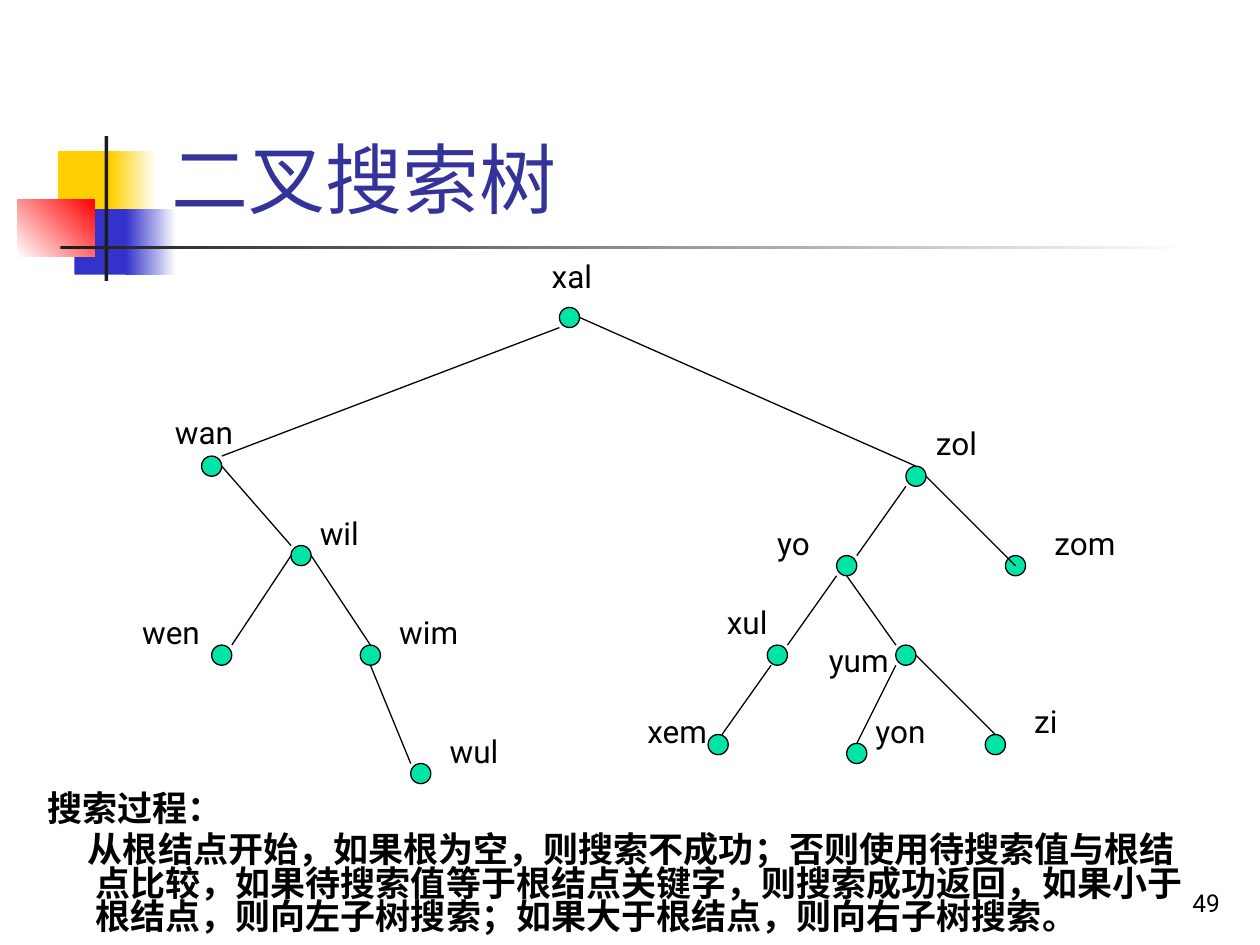
from lxml.etree import SubElement
from pptx import Presentation
from pptx.dml.color import RGBColor
from pptx.enum.shapes import MSO_CONNECTOR, MSO_SHAPE
from pptx.enum.text import MSO_ANCHOR, PP_ALIGN
from pptx.oxml.ns import qn
from pptx.util import Pt

PX = 9144  # EMU per px, 100 px to the inch
FONT = "Roboto"
COLORS = {"yellow": "FFCF01", "blue": "3333CC", "red": "FF0000", "dark": "1C1C1C",
          "white": "FFFFFF", "title": "333399", "node": "00E4A8", "black": "000000"}
RADIUS = 8

# name: (centre x, centre y), (label left, top, width), relative to the tree box
NODES = {
    "xal": ((349, 53), (325, 0, 62)),
    "wan": ((65, 171), (26, 124, 87)),
    "wil": ((136, 242), (141, 204, 60)),
    "wen": ((73, 321), (0, 283, 81)),
    "wim": ((191, 321), (204, 283, 81)),
    "wul": ((231, 415), (244, 377, 71)),
    "zol": ((624, 179), (630, 133, 61)),
    "yo": ((569, 250), (504, 212, 55)),
    "zom": ((703, 250), (724, 212, 81)),
    "xul": ((514, 321), (464, 275, 63)),
    "yum": ((616, 321), (545, 305, 70)),
    "xem": ((467, 392), (401, 361, 82)),
    "yon": ((577, 399), (582, 361, 73)),
    "zi": ((687, 392), (708, 353, 43)),
}
# parent, its side, child, its side
EDGES = [
    ("xal", "SW", "wan", "NE"), ("xal", "E", "zol", "N"),
    ("wan", "E", "wil", "NW"), ("wil", "W", "wen", "NE"),
    ("wil", "E", "wim", "N"), ("wim", "S", "wul", "NW"),
    ("zol", "SW", "yo", "NE"), ("zol", "E", "zom", "C"),
    ("yo", "SW", "xul", "NE"), ("yo", "S", "yum", "NW"),
    ("xul", "SSW", "xem", "NNE"), ("yum", "SW", "yon", "N"),
    ("yum", "E", "zi", "N"),
]
SIDES = {"C": (0, 0), "N": (0, -RADIUS), "S": (0, RADIUS), "E": (RADIUS, 0),
         "W": (-RADIUS, 0), "NE": (RADIUS, -RADIUS), "NW": (-RADIUS, -RADIUS),
         "SW": (-RADIUS, RADIUS), "SSW": (-5, RADIUS), "NNE": (3, -RADIUS)}


def px(*lengths):
    return [n * PX for n in lengths]


def rgb(name):
    return RGBColor.from_string(COLORS[name])


def style(p, size, color="black", bold=False):
    p.font.name, p.font.size, p.font.bold = FONT, Pt(size), bold
    p.font.color.rgb = rgb(color)


def add_shape(s, kind, box, fill):
    sp = s.shapes.add_shape(kind, *px(*box))
    sp.shadow.inherit = False
    sp.line.fill.background()
    if isinstance(fill, str):
        sp.fill.solid()
        sp.fill.fore_color.rgb = rgb(fill)
    else:
        first, last, angle = fill
        sp.fill.gradient()
        sp.fill.gradient_angle = angle
        for stop, color in zip(sp.fill.gradient_stops, (first, last)):
            stop.color.rgb = rgb(color)
    return sp


def add_text(s, box, texts, size, bold=False):
    tf = s.shapes.add_textbox(*px(*box)).text_frame
    tf.word_wrap = True
    tf.text = "\n".join(texts)
    for p in tf.paragraphs:
        style(p, size, bold=bold)
    return tf


def add_ornament(s, x, y):
    """Coloured squares and crossing bars beside the title."""
    for left, top, w, h, fill in [
        (32, 12, 48, 52, "yellow"),
        (74, 12, 36, 52, ("yellow", "white", 0)),
        (45, 58, 46, 52, "blue"),
        (86, 58, 40, 52, ("blue", "white", 0)),
        (0, 50, 61, 46, ("white", "red", 45)),
        (69, 0, 3, 115, "dark"),
        (34, 87, 900, 3, ("dark", "white", 0)),
    ]:
        add_shape(s, MSO_SHAPE.RECTANGLE, (x + left, y + top, w, h), fill)


def add_title(s, box, text):
    sp = s.shapes.title
    sp.left, sp.top, sp.width, sp.height = px(*box)
    tf = sp.text_frame
    tf.text = text
    tf.vertical_anchor = MSO_ANCHOR.BOTTOM
    p = tf.paragraphs[0]
    p.alignment = PP_ALIGN.LEFT
    style(p, 44, "title")


def add_tree(s, x, y):
    def point(name, side):
        (cx, cy), (dx, dy) = NODES[name][0], SIDES[side]
        return px(x + cx + dx, y + cy + dy)

    for name, ((cx, cy), (left, top, width)) in NODES.items():
        box = (x + cx - RADIUS, y + cy - RADIUS, 2 * RADIUS, 2 * RADIUS)
        sp = add_shape(s, MSO_SHAPE.OVAL, box, "node")
        sp.line.color.rgb = rgb("black")
        sp.line.width = Pt(0.75)
        add_text(s, (x + left, y + top, width, 50), [name], 18)
    for parent, out, child, into in EDGES:
        line = s.shapes.add_connector(MSO_CONNECTOR.STRAIGHT,
                                      *point(parent, out), *point(child, into))
        line.line.color.rgb = rgb("black")
        line.line.width = Pt(0.75)
        SubElement(line._element.spPr, qn("a:effectLst"))


def add_search_steps(s, box):
    tf = add_text(s, box, [
        "搜索过程：",
        "从根结点开始，如果根为空，则搜索不成功；否则使用待搜索值与根结点比较，"
        "如果待搜索值等于根结点关键字，则搜索成功返回，如果小于根结点，则向左子树搜索；"
        "如果大于根结点，则向右子树搜索。",
    ], 20, bold=True)
    for p, indent in zip(tf.paragraphs, (-38, -6)):
        p.line_spacing = 0.8
        p.space_before = Pt(4)
        pPr = p._p.get_or_add_pPr()
        pPr.set("marL", str(38 * PX))
        pPr.set("indent", str(indent * PX))


def add_page_number(s, box, number):
    tf = add_text(s, box, [number], 14)
    tf.vertical_anchor = MSO_ANCHOR.BOTTOM
    tf.paragraphs[0].alignment = PP_ALIGN.RIGHT


def main():
    prs = Presentation()
    prs.slide_width, prs.slide_height = px(1000, 750)
    s = prs.slides.add_slide(prs.slide_layouts[5])
    add_ornament(s, 14, 108)
    add_title(s, (126, 23, 852, 160), "二叉搜索树")
    add_page_number(s, (770, 683, 208, 50), "49")
    add_tree(s, 103, 199)
    add_search_steps(s, (28, 626, 930, 124))
    prs.save("out.pptx")


if __name__ == "__main__":
    main()
